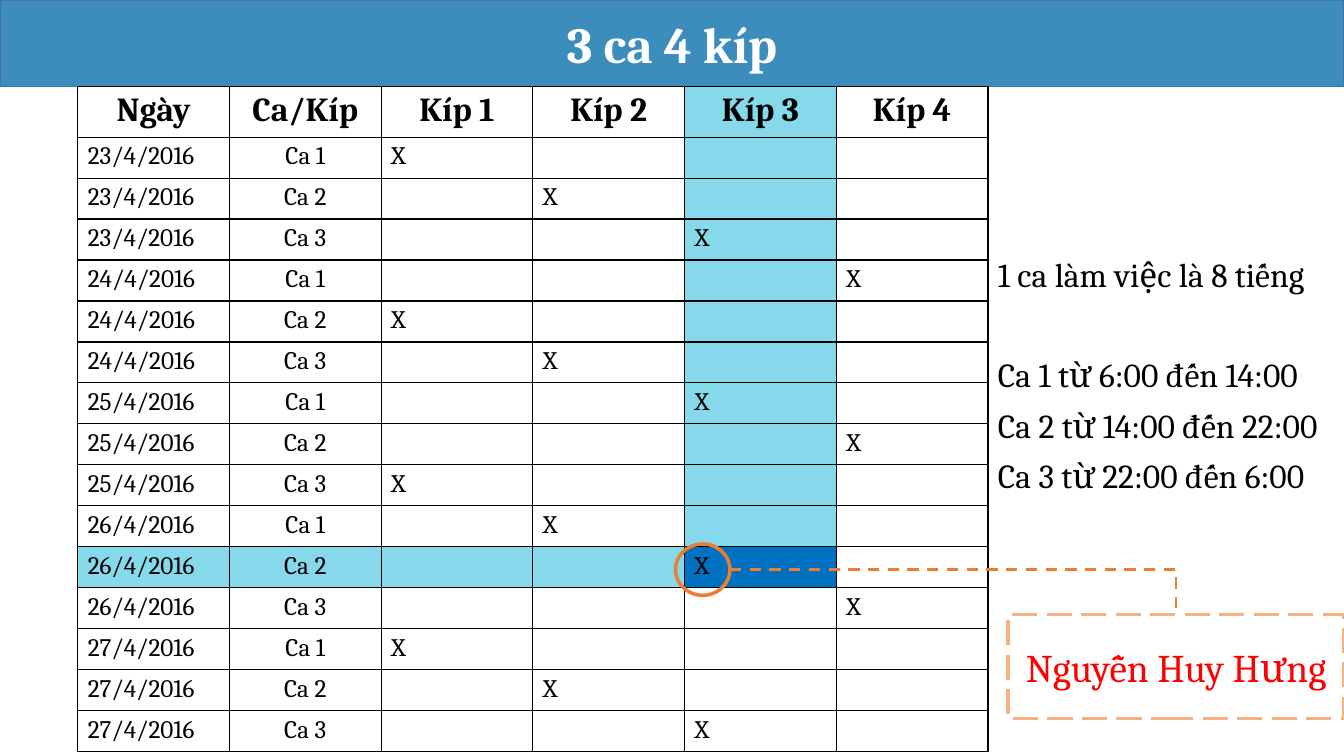
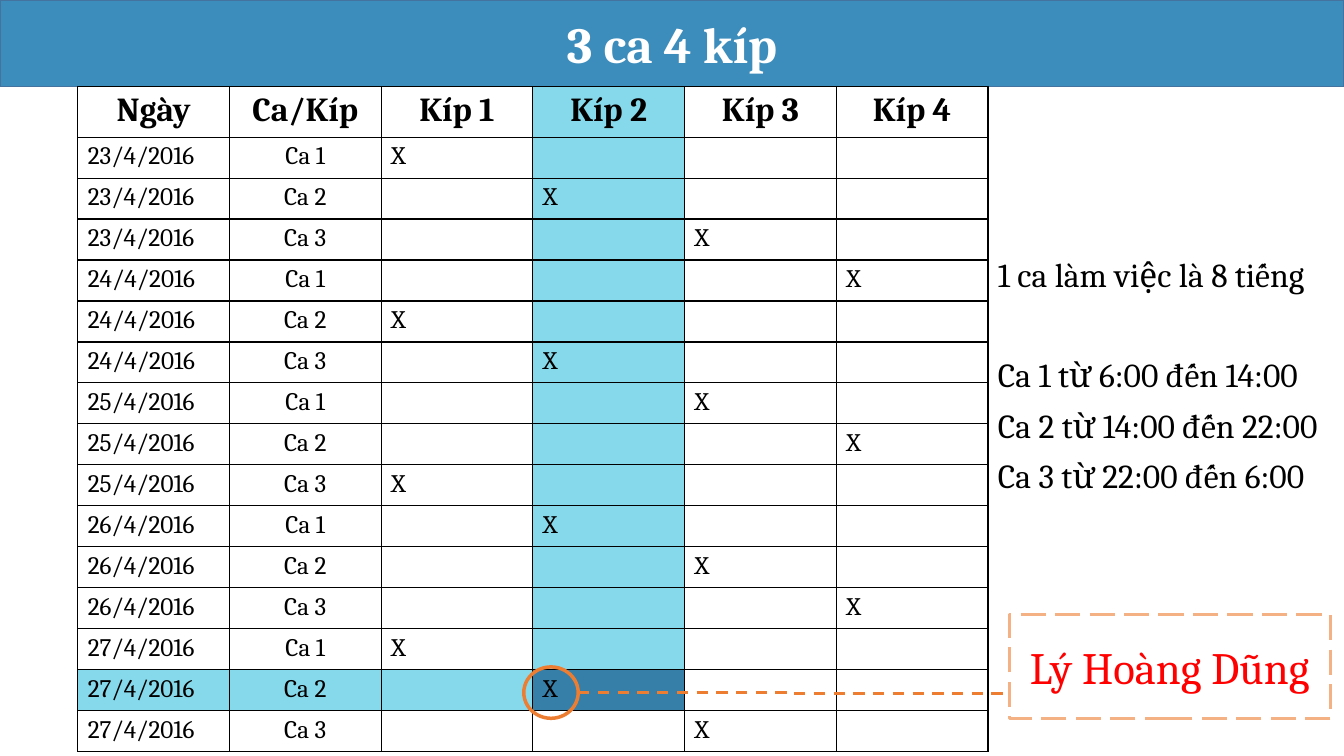
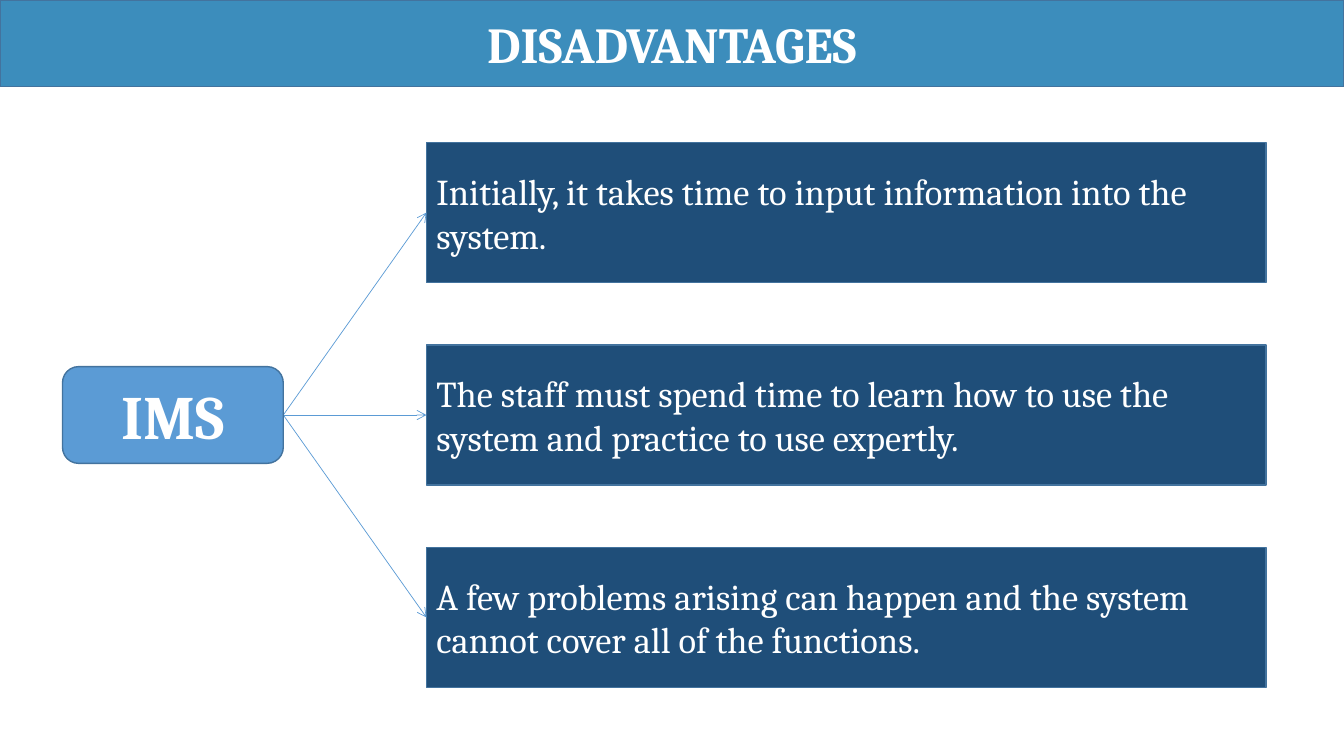
from dataclasses import dataclass

from lxml import etree
from pptx import Presentation
from pptx.dml.color import RGBColor
from pptx.enum.dml import MSO_LINE
from pptx.enum.shapes import MSO_CONNECTOR, MSO_SHAPE
from pptx.enum.text import MSO_ANCHOR, PP_ALIGN
from pptx.oxml.ns import qn
from pptx.util import Inches, Pt

RECT, ROUND, OVAL = MSO_SHAPE.RECTANGLE, MSO_SHAPE.ROUNDED_RECTANGLE, MSO_SHAPE.OVAL
LINE, ELBOW = MSO_CONNECTOR.STRAIGHT, MSO_CONNECTOR.ELBOW
LEFT, CENTER = PP_ALIGN.LEFT, PP_ALIGN.CENTER
TOP, MIDDLE = MSO_ANCHOR.TOP, MSO_ANCHOR.MIDDLE
DASH, LONG = MSO_LINE.DASH, MSO_LINE.LONG_DASH
WIDE, HIGH = Inches(13.33), Inches(7.5)


@dataclass(frozen=True)
class Theme:
    font: str = "Cambria"
    white: str = "FFFFFF"
    black: str = "000000"
    red: str = "FF0000"
    band: str = "3C8DBC"
    edge: str = "43739E"
    navy: str = "1F4E79"
    blue: str = "5B9BD5"
    aqua: str = "86D9EA"
    peach: str = "F4B183"
    orange: str = "ED7D31"
    title: int = 36
    hub: int = 44
    body: int = 26
    note: int = 24
    cell: int = 18


T = Theme()

# All lengths are percentages of the slide's width or height.
BAND = 11.47
COLS, SHIFTS = 6, 15
GRID_X, GRID_W = 5.78, 67.73
HEAD_H = 6.53
ROW_H = (99.33 - BAND - HEAD_H) / SHIFTS
COL_W = GRID_W / COLS
FRAME_Y, FRAME_H = 81.33, 13.73
RING_W, RING_H = 4.05, 6.8

HEADS = ["Ngày", "Ca/Kíp", "Kíp 1", "Kíp 2", "Kíp 3", "Kíp 4"]
HOURS = [
    ("1 ca làm việc là 8 tiếng", 10),
    ("Ca 1 từ 6:00 đến 14:00", 46),
    ("Ca 2 từ 14:00 đến 22:00", 10),
    ("Ca 3 từ 22:00 đến 6:00", 10),
]
FLAWS = [
    "Initially, it takes time to input information into the system.",
    "The staff must spend time to learn how to use the system and practice to use expertly.",
    "A few problems arising can happen and the system cannot cover all of the functions.",
]


def across(part):
    return round(WIDE * part / 100)


def down(part):
    return round(HIGH * part / 100)


def place(x, y, w, h):
    return across(x), down(y), across(w), down(h)


def put(item, **vals):
    for name, val in vals.items():
        setattr(item, name, val)


def rgb(code):
    return RGBColor.from_string(code)


def write(para, text, size, color, align=LEFT, bold=False):
    para.alignment = align
    run = para.add_run()
    run.text = text
    put(run.font, name=T.font, size=Pt(size), bold=bold)
    run.font.color.rgb = rgb(color)


def stroke(line, color, width, dash=None):
    line.color.rgb = rgb(color)
    put(line, width=Pt(width), dash_style=dash)


def add_box(slide, kind, at, fill=None, line=(T.edge, 1), text="", **style):
    box = slide.shapes.add_shape(kind, *place(*at))
    box.shadow.inherit = False
    if fill:
        box.fill.solid()
        box.fill.fore_color.rgb = rgb(fill)
    else:
        box.fill.background()
    stroke(box.line, *line)
    put(box.text_frame, word_wrap=True, vertical_anchor=MIDDLE)
    if text:
        write(box.text_frame.paragraphs[0], text, **style)


def add_link(slide, kind, start, end, line):
    ends = across(start[0]), down(start[1]), across(end[0]), down(end[1])
    link = slide.shapes.add_connector(kind, *ends)
    stroke(link.line, *line)
    etree.SubElement(link._element.spPr, qn("a:effectLst"))
    return link


def add_page(deck, title):
    slide = deck.slides.add_slide(deck.slide_layouts[6])
    add_box(slide, RECT, (0, 0, 100, BAND), T.band, text=title,
            size=T.title, color=T.white, align=CENTER, bold=True)
    return slide


def border(cell):
    """Draw a thin black line on all four sides of a cell."""
    props = cell._tc.get_or_add_tcPr()
    for spot, side in enumerate(("a:lnL", "a:lnR", "a:lnT", "a:lnB")):
        edge = etree.Element(qn(side), w=str(Pt(1)))
        fill = etree.SubElement(edge, qn("a:solidFill"))
        etree.SubElement(fill, qn("a:srgbClr"), val=T.black)
        props.insert(spot, edge)


def roster():
    """Each shift falls to the next of four crews, three shifts a day."""
    rows = [HEADS]
    for num in range(SHIFTS):
        marks = ["X" if crew == num % 4 else "" for crew in range(4)]
        rows.append([f"{23 + num // 3}/4/2016", f"Ca {num % 3 + 1}", *marks])
    return rows


def shade(row, col, hit, color):
    """Fill of a cell, given the marked cell and its colour."""
    if (row, col) == hit:
        return color
    above = col == hit[1] and row < hit[0]
    before = row == hit[0] and col < hit[1]
    return T.aqua if above or before else None


def add_roster(slide, hit, color):
    rows = roster()
    at = place(GRID_X, BAND, GRID_W, HEAD_H + SHIFTS * ROW_H)
    table = slide.shapes.add_table(len(rows), COLS, *at).table
    put(table, first_row=False, horz_banding=False)
    for col in table.columns:
        col.width = across(COL_W)
    for r, row in enumerate(rows):
        table.rows[r].height = down(ROW_H if r else HEAD_H)
        for c, text in enumerate(row):
            cell = table.cell(r, c)
            fill = shade(r, c, hit, color)
            if fill:
                cell.fill.solid()
                cell.fill.fore_color.rgb = rgb(fill)
            else:
                cell.fill.background()
            border(cell)
            para = cell.text_frame.paragraphs[0]
            para.font.size = Pt(T.cell)
            if text:
                write(para, text, T.cell if r else T.note, T.black,
                      CENTER if r == 0 or c == 1 else LEFT, bold=r == 0)


def add_hours(slide):
    left = GRID_X + GRID_W
    box = slide.shapes.add_textbox(*place(left, 33.47, 100 - left, 36.13))
    frame = box.text_frame
    put(frame, word_wrap=True, vertical_anchor=TOP)
    for num, (text, gap) in enumerate(HOURS):
        para = frame.add_paragraph() if num else frame.paragraphs[0]
        put(para, line_spacing=0.9, space_before=Pt(gap))
        write(para, text, T.note, T.black)


def add_shift(deck, hit, color, name, size, left, width, bend):
    """Roster page whose marked cell is tied to a name; bend drops the tie from above."""
    slide = add_page(deck, "3 ca 4 kíp")
    add_hours(slide)
    add_roster(slide, hit, color)
    add_box(slide, RECT, (left, FRAME_Y, width, FRAME_H), line=(T.peach, 2.25, LONG),
            text=name, size=size, color=T.red, align=CENTER)
    row, col = hit
    x = GRID_X + col * COL_W + 1.35
    y = BAND + HEAD_H + (row - 1) * ROW_H + 3.13
    end = (left + width / 2, FRAME_Y) if bend else (left, y + 0.13)
    link = add_link(slide, ELBOW, (x + RING_W / 2, y), end, (T.orange, 2, DASH))
    if bend:
        link._element.spPr.find(qn("a:prstGeom")).set("prst", "bentConnector2")
    add_box(slide, OVAL, (x - RING_W / 2, y - RING_H / 2, RING_W, RING_H),
            line=(T.orange, 2.5))


def add_flaws(deck):
    slide = add_page(deck, "DISADVANTAGES")
    left, mid, step, tall = 31.73, 54.9, 26.77, 18.53
    hub_x, hub_w, hub_h = 4.65, 16.43, 12.8
    for num, text in enumerate(FLAWS):
        y = mid + (num - 1) * step
        add_box(slide, RECT, (left, y - tall / 2, 62.47, tall), T.navy,
                text=text, size=T.body, color=T.white)
        link = add_link(slide, LINE, (hub_x + hub_w, mid), (left, y), (T.blue, 0.5))
        etree.SubElement(link.line._get_or_add_ln(), qn("a:tailEnd"), type="arrow")
    add_box(slide, ROUND, (hub_x, mid - hub_h / 2, hub_w, hub_h), T.blue,
            text="IMS", size=T.hub, color=T.white, align=CENTER, bold=True)


def main():
    deck = Presentation()
    put(deck, slide_width=WIDE, slide_height=HIGH)
    add_shift(deck, (11, 4), "0070C0", "Nguyễn Huy Hưng", 28, 75, 25, True)
    add_shift(deck, (14, 3), "367FA9", "Lý Hoàng Dũng", 32, 75.08, 23.92, False)
    add_flaws(deck)
    deck.save("out.pptx")


if __name__ == "__main__":
    main()
